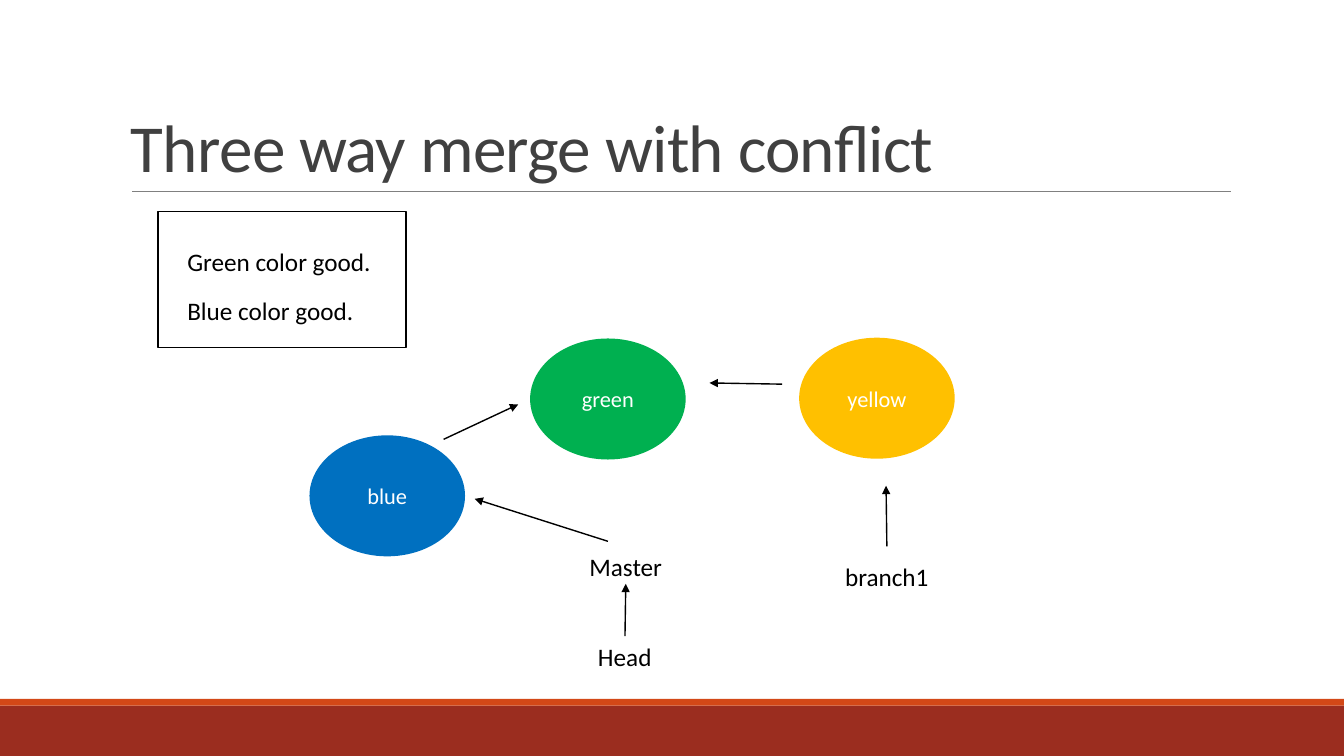
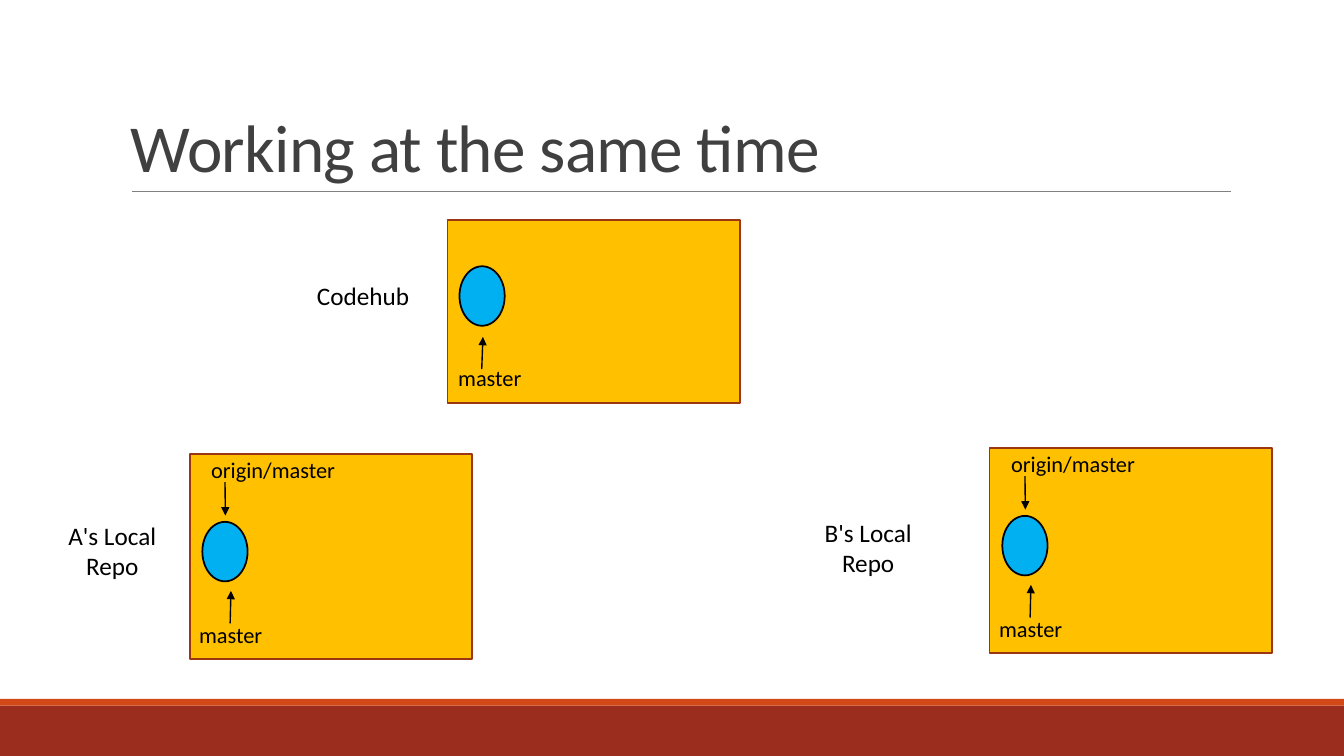
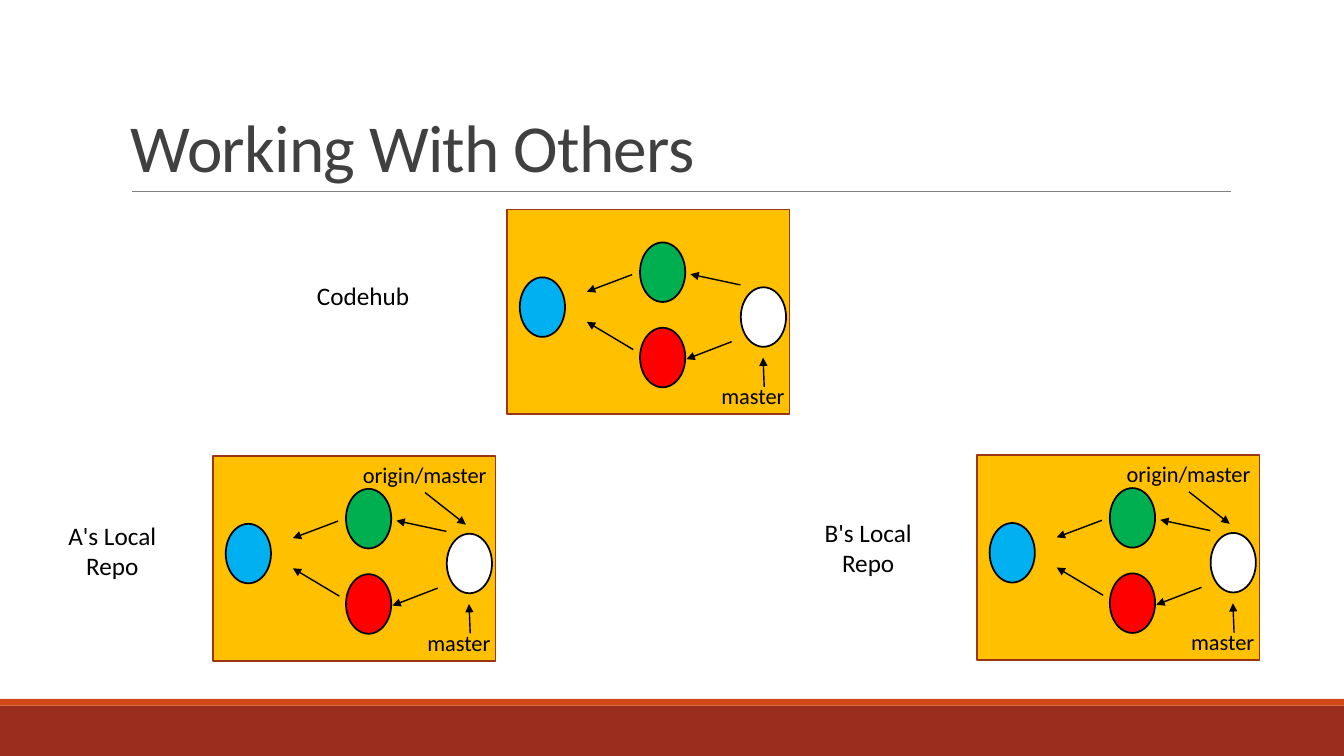
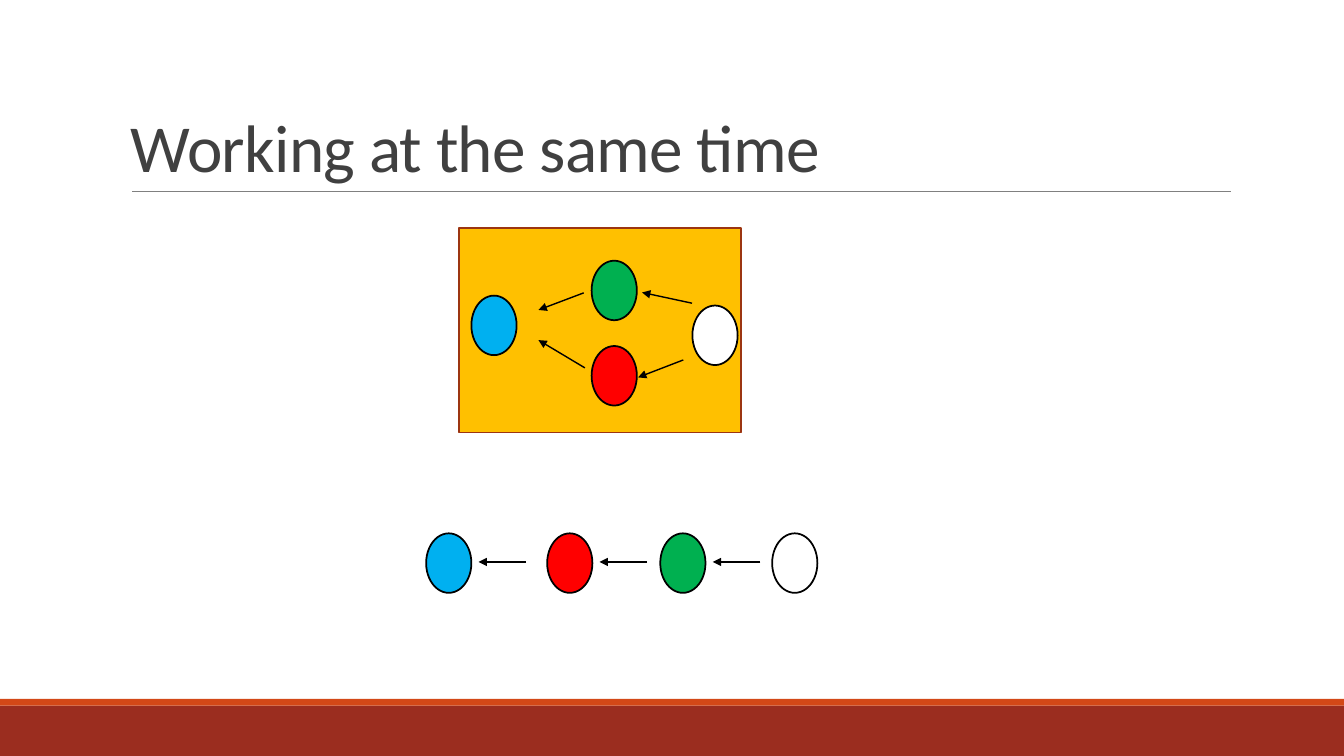
from pptx import Presentation
from pptx.dml.color import RGBColor
from pptx.enum.shapes import MSO_CONNECTOR, MSO_SHAPE
from pptx.enum.text import MSO_ANCHOR, PP_ALIGN
from pptx.oxml.ns import qn
from pptx.util import Cm, Pt
from lxml.etree import SubElement


class Theme:
    font = "Calibri"
    title_pt, label_pt, node_pt = 48, 18, 16
    outline_pt, arrow_pt, rule_pt = 1.25, 1, 0.5
    black, white, title, rule = "000000", "FFFFFF", "404040", "808080"
    band, stripe, panel_line = "9B2D1F", "D34817", "9C3511"
    blue, sky, green, red, amber = "0070C0", "00B0F0", "00B050", "FF0000", "FFC000"


# Content; all positions in cm
SLIDE_W, SLIDE_H = 33.87, 19.05
PANEL, COMMIT, NODE = (7.12, 5.16), (1.14, 1.5), (3.92, 3.05)
HUB_PANEL = (7.37, 4.62)
LABEL_H, TAG_H = 1.02, 0.94
TAG_W = {"master": 3.05, "origin/master": 5.21}

# Slide 1
FILE_BOX = (3.99, 5.33, 6.25, 3.43)
FILE_LINES = ["Green color good.", "Blue color good."]
BRANCH_NODES = [("green", Theme.green, 13.36, 8.53),
                ("yellow", Theme.amber, 20.14, 8.51),
                ("blue", Theme.blue, 7.8, 10.97)]
POINTERS = [("Master", 13, 13.77, 5.54), ("branch1", 19.58, 14.02, 5.54),
            ("Head", 13.69, 16.03, 4.11)]
BRANCH_ARROWS = [(15.32, 13.64, 11.96, 12.57), (15.75, 16.03, 15.77, 14.71),
                 (22.35, 13.77, 22.33, 12.24), (19.71, 9.68, 17.88, 9.65),
                 (11.18, 11.07, 13.06, 10.19)]

# Repository contents, measured from the panel's corner
START_ORIGIN = {"commits": [(Theme.sky, 0.32, 1.71)],
                "arrows": [(1.02, 4.27, 1.04, 3.45), (0.89, 0.71, 0.9, 1.55)],
                "tags": [("master", -0.49, 4.09), ("origin/master", -0.5, -0.08)]}
START_HUB = {"commits": [(Theme.sky, 0.3, 1.17)],
             "arrows": [(0.86, 3.76, 0.89, 2.95)],
             "tags": [("master", -0.46, 3.51)]}
MERGED = {"commits": [(Theme.sky, 0.32, 1.71), (Theme.red, 3.35, 2.98),
                      (Theme.green, 3.35, 0.83), (Theme.white, 5.89, 1.96)],
          "arrows": [(3.15, 1.64, 2.01, 2.07), (3.18, 3.53, 2.01, 2.83),
                     (5.66, 3.33, 4.52, 3.77), (5.88, 1.9, 4.62, 1.63)],
          "tags": []}
MERGED_HUB = {"commits": MERGED["commits"],
              "arrows": MERGED["arrows"] + [(6.48, 4.47, 6.45, 3.73)],
              "tags": [("master", 4.67, 4.23)]}
MERGED_ORIGIN = {"commits": MERGED["commits"],
                 "arrows": MERGED_HUB["arrows"] + [(5.34, 0.92, 6.37, 1.73)],
                 "tags": MERGED_HUB["tags"] + [("origin/master", 2.73, 0)]}

REPO_LABELS = [("Codehub", 7.59, 6.93, LABEL_H),
               ("A's Local Repo", 1.27, 12.98, 1.8),
               ("B's Local Repo", 20.32, 12.9, 1.8)]
REPO_LABEL_W = 3.12

# Slides 2 to 4: title, labels, panels as (x, y, size, contents)
REPO_SLIDES = [
    ("Working at the same time", REPO_LABELS,
     [(11.28, 5.54, HUB_PANEL, START_HUB), (4.78, 11.44, PANEL, START_ORIGIN),
      (24.94, 11.29, PANEL, START_ORIGIN)]),
    ("Working With Others", REPO_LABELS,
     [(12.78, 5.28, PANEL, MERGED_HUB), (5.37, 11.49, PANEL, MERGED_ORIGIN),
      (24.62, 11.47, PANEL, MERGED_ORIGIN)]),
    ("Working at the same time", [], [(11.56, 5.74, PANEL, MERGED)]),
]
LINEAR_COMMITS = [(Theme.sky, 10.74), (Theme.red, 13.79),
                  (Theme.green, 16.64), (Theme.white, 19.46)]
LINEAR_Y = 13.44


# Drawing helpers
def rgb(color):
    return RGBColor.from_string(color)


def write(sp, text, size, color=Theme.black, align=PP_ALIGN.CENTER):
    tf = sp.text_frame
    tf.word_wrap = True
    tf.text = text
    p = tf.paragraphs[0]
    p.alignment = align
    r = p.runs[0]
    r.font.name, r.font.size = Theme.font, Pt(size)
    r.font.color.rgb = rgb(color)
    return tf


def add_label(s, text, x, y, w, h, size=Theme.label_pt, **style):
    sp = s.shapes.add_textbox(Cm(x), Cm(y), Cm(w), Cm(h))
    return write(sp, text, size, **style)


def add_block(s, x, y, w, h, fill, line=None, kind=MSO_SHAPE.RECTANGLE):
    sp = s.shapes.add_shape(kind, Cm(x), Cm(y), Cm(w), Cm(h))
    sp.shadow.inherit = False
    sp.fill.solid()
    sp.fill.fore_color.rgb = rgb(fill)
    if line:
        sp.line.color.rgb = rgb(line)
        sp.line.width = Pt(Theme.outline_pt)
    else:
        sp.line.fill.background()
    return sp


def add_line(s, x1, y1, x2, y2, color=Theme.black, width=Theme.arrow_pt, arrow=True):
    c = s.shapes.add_connector(MSO_CONNECTOR.STRAIGHT, Cm(x1), Cm(y1), Cm(x2), Cm(y2))
    c.line.color.rgb = rgb(color)
    c.line.width = Pt(width)
    sp_pr = c._element.spPr
    if arrow:
        SubElement(sp_pr.find(qn("a:ln")), qn("a:tailEnd"), type="triangle")
    SubElement(sp_pr, qn("a:effectLst"))


def add_commit(s, color, x, y):
    add_block(s, x, y, *COMMIT, color, Theme.black, MSO_SHAPE.OVAL)


def add_slide(prs, title):
    s = prs.slides.add_slide(prs.slide_layouts[6])
    add_block(s, 0, 17.78, SLIDE_W, 1.27, Theme.band)
    add_block(s, 0, 17.61, SLIDE_W, 0.17, Theme.stripe)
    add_line(s, 3.33, 4.83, 31.01, 4.83, Theme.rule, Theme.rule_pt, arrow=False)
    tf = add_label(s, title, 3.05, 0.79, 27.94, 4.04, Theme.title_pt,
                   color=Theme.title, align=PP_ALIGN.LEFT)
    tf.vertical_anchor = MSO_ANCHOR.BOTTOM
    p = tf.paragraphs[0]
    p.line_spacing = 0.85
    p.runs[0]._r.get_or_add_rPr().set("spc", "-50")
    return s


def add_repo(s, x, y, size, contents):
    add_block(s, x, y, *size, Theme.amber, Theme.panel_line)
    for color, dx, dy in contents["commits"]:
        add_commit(s, color, x + dx, y + dy)
    for x1, y1, x2, y2 in contents["arrows"]:
        add_line(s, x + x1, y + y1, x + x2, y + y2)
    for text, dx, dy in contents["tags"]:
        add_label(s, text, x + dx, y + dy, TAG_W[text], TAG_H, Theme.node_pt)


# Slides
def build_conflict(prs):
    s = add_slide(prs, "Three way merge with conflict")
    add_block(s, *FILE_BOX, Theme.white, Theme.black)
    for i, text in enumerate(FILE_LINES):
        add_label(s, text, 4.47, 6.07 + 1.25 * i, 9.17, LABEL_H, align=PP_ALIGN.LEFT)
    for text, color, x, y in BRANCH_NODES:
        sp = add_block(s, x, y, *NODE, color, kind=MSO_SHAPE.OVAL)
        tf = write(sp, text, Theme.node_pt, Theme.white)
        tf.vertical_anchor = MSO_ANCHOR.MIDDLE
    for text, x, y, w in POINTERS:
        add_label(s, text, x, y, w, LABEL_H)
    for ends in BRANCH_ARROWS:
        add_line(s, *ends)


def build_repos(prs, title, labels, panels):
    s = add_slide(prs, title)
    for panel in panels:
        add_repo(s, *panel)
    for text, x, y, h in labels:
        add_label(s, text, x, y, REPO_LABEL_W, h)
    return s


def add_linear_history(s):
    mid = LINEAR_Y + 0.72
    for i, (color, x) in enumerate(LINEAR_COMMITS):
        add_commit(s, color, x, LINEAR_Y)
        if i < len(LINEAR_COMMITS) - 1:
            add_line(s, x + 2.52, mid, x + 1.32, mid)


def main():
    prs = Presentation()
    prs.slide_width, prs.slide_height = Cm(SLIDE_W), Cm(SLIDE_H)
    build_conflict(prs)
    for content in REPO_SLIDES:
        s = build_repos(prs, *content)
    add_linear_history(s)
    prs.save("out.pptx")


if __name__ == "__main__":
    main()
